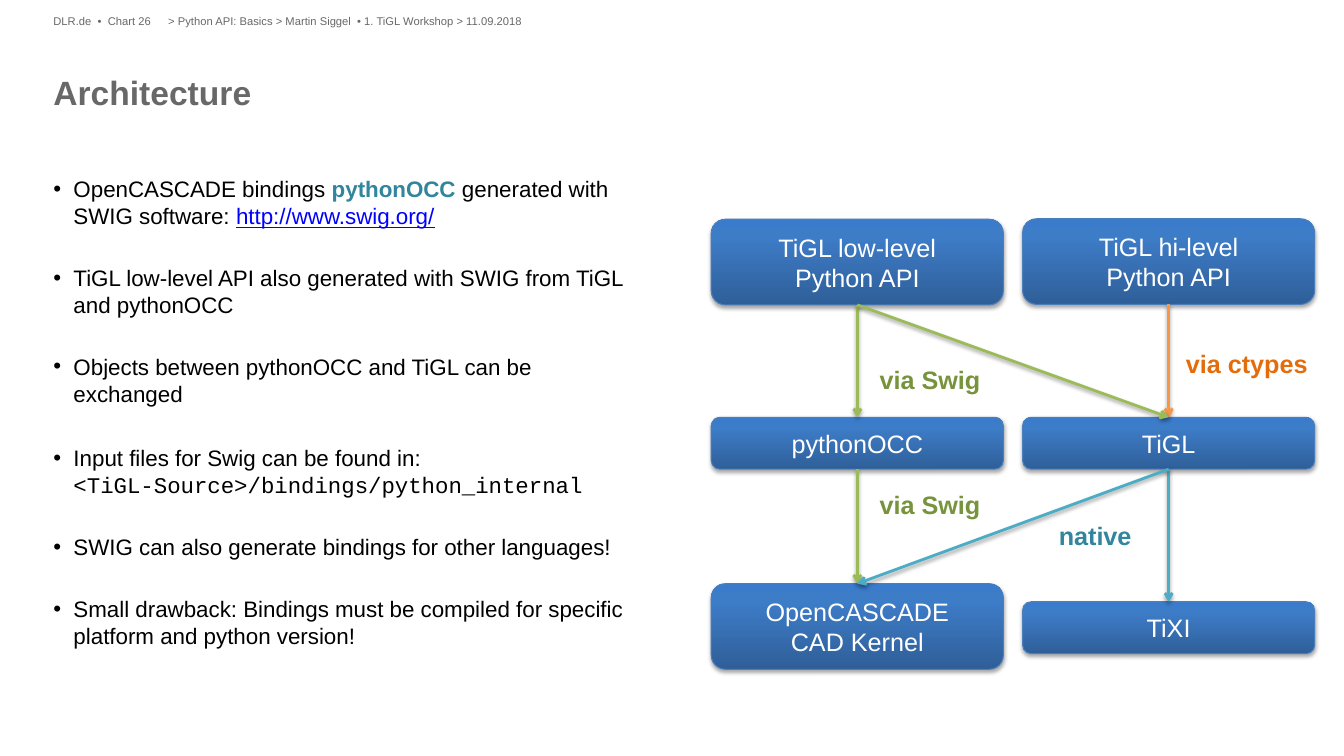
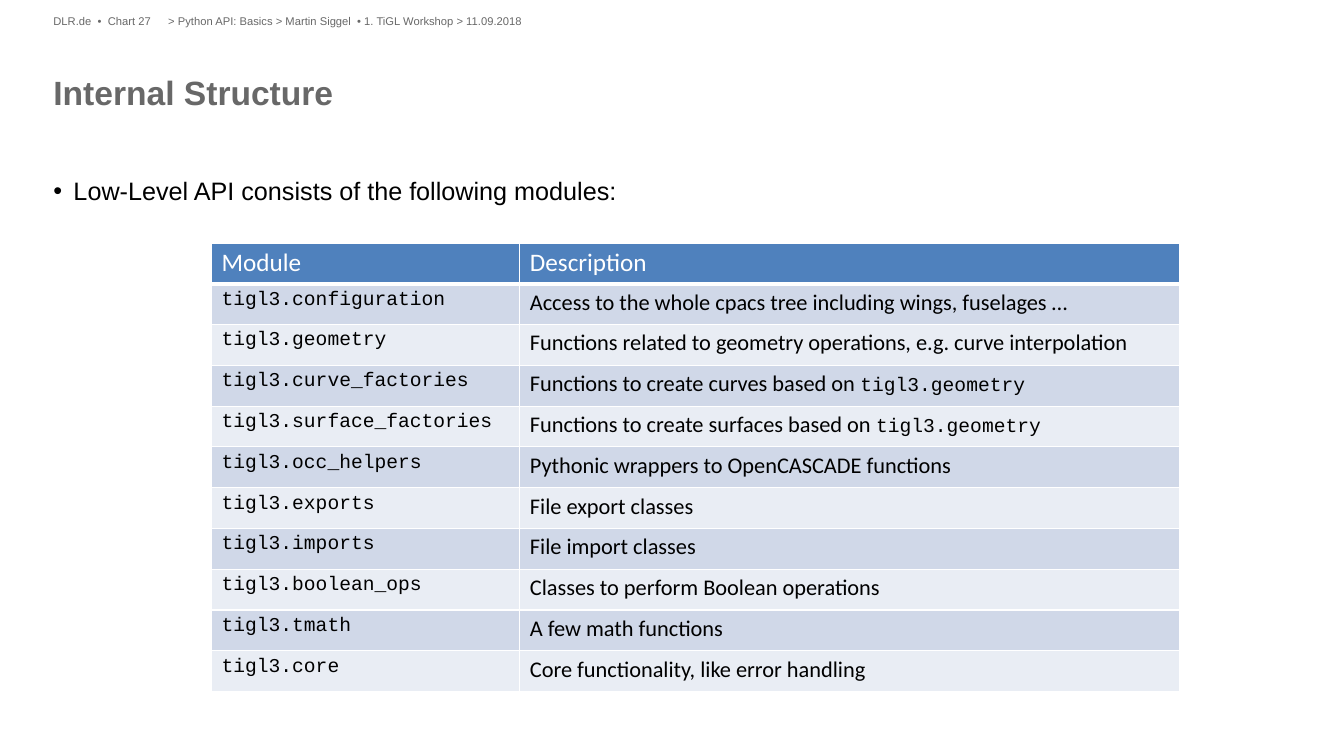
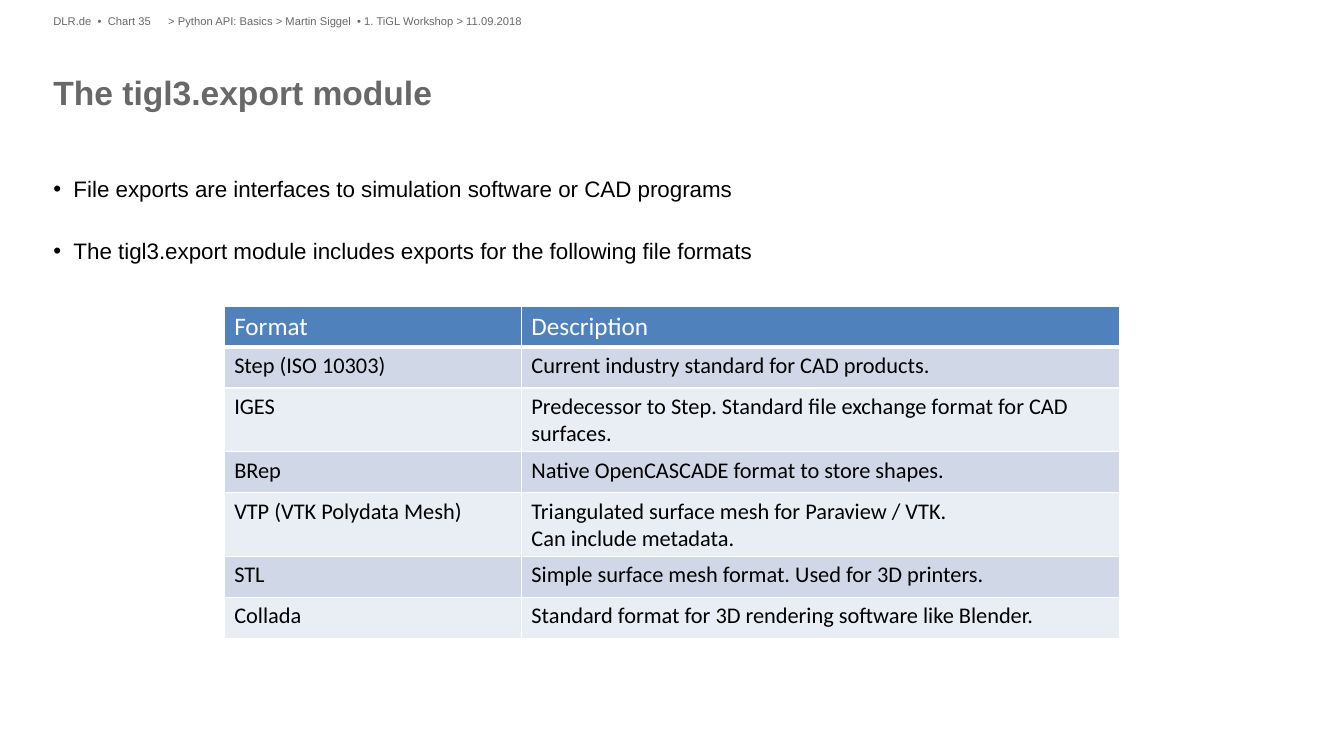
"""Build three workshop slides on the architecture and modules of a Python API."""
from copy import deepcopy

from pptx import Presentation
from pptx.dml.color import RGBColor
from pptx.enum.shapes import MSO_CONNECTOR, MSO_SHAPE
from pptx.enum.text import MSO_ANCHOR, PP_ALIGN
from pptx.oxml import parse_xml
from pptx.oxml.ns import nsdecls, qn
from pptx.util import Emu, Pt

PX = 4572
SLIDE_SIZE = (2668, 1500)
LEFT, WIDTH = 106, 2454
BODY_TOP, BODY_HEIGHT = 348, 948
HEADER_TOP, HEADER_HEIGHT = 28, 32
INDENT = 40
ROW_HEIGHT, TALL_ROW_HEIGHT = 81, 126

COLORS = {
    "grey": "686868", "black": "000000", "white": "FFFFFF", "link": "0000FF",
    "teal": "31859C", "green": "77933C", "orange": "E46C0A",
    "green line": "9BBB59", "teal line": "4BACC6", "orange line": "F79646",
    "box line": "4B7EBC", "box dark": "2F5F99", "box middle": "3D7CC7", "box light": "3A7CCB",
    "head": "4F81BD", "odd": "D0D8E8", "even": "E9EDF4",
}
BOX_GRADIENT = [(0, "box dark"), (0.8, "box middle"), (1, "box light")]

STYLES = {
    "title": ("Arial", 24, "grey", True),
    "header": ("Arial", 8, "grey", False),
    "body": ("Arial", 16, "black", False),
    "large": ("Arial", 18, "black", False),
    "strong": ("Arial", 16, "teal", True),
    "link": ("Arial", 16, "link", False),
    "path": ("Courier New", 16, "black", False),
    "box": ("Arial", 18, "white", False),
    "green": ("Arial", 18, "green", True),
    "orange": ("Arial", 18, "orange", True),
    "teal": ("Arial", 18, "teal", True),
    "head": ("Calibri", 18, "white", False),
    "cell": ("Calibri", 16, "black", False),
    "code": ("Courier New", 14, "black", False),
}

HEADER = "> Python API: Basics > Martin Siggel  • 1. TiGL Workshop > 11.09.2018"

ARCHITECTURE_BULLETS = [
    (0, [("OpenCASCADE bindings ", "body"), ("pythonOCC ", "strong"),
         ("generated with SWIG software: ", "body"), ("http://www.swig.org/", "link")]),
    (25, [("TiGL low-level API also generated with SWIG from TiGL and pythonOCC", "body")]),
    (25, [("Objects between pythonOCC and TiGL can be exchanged", "body")]),
    (27, [("Input files for Swig can be found in:\n", "body"),
          ("<TiGL-Source>/bindings/python_internal", "path")]),
    (25, [("SWIG can also generate bindings for other languages!", "body")]),
    (25, [("Small drawback: Bindings must be compiled for specific platform "
           "and python version!", "body")]),
]
MODULE_BULLETS = [(0, [("Low-Level API consists of the following modules:", "large")])]
EXPORT_BULLETS = [
    (0, [("File exports are interfaces to simulation software or CAD programs", "body")]),
    (25, [("The tigl3.export module includes exports for the following file formats", "body")]),
]

BOX_WIDTH = 580
BOX_COLUMNS = (1412, 2030)
BOXES = {
    "low": ("TiGL low-level\nPython API", 0, 435, 170),
    "high": ("TiGL hi-level\nPython API", 1, 434, 170),
    "occ": ("pythonOCC", 0, 828, 103),
    "tigl": ("TiGL", 1, 828, 103),
    "kernel": ("OpenCASCADE\nCAD Kernel", 0, 1158, 170),
    "tixi": ("TiXI", 1, 1194, 103),
}
ARROWS = [
    ("occ", "kernel", "green line"), ("tigl", "tixi", "teal line"),
    ("tigl", "kernel", "teal line"), ("high", "tigl", "orange line"),
    ("low", "occ", "green line"), ("low", "tigl", "green line"),
]
ARROW_LABELS = [
    ("via Swig", "green", 1746, 722, 202), ("via ctypes", "orange", 2354, 692, 244),
    ("via Swig", "green", 1746, 970, 202), ("native", "teal", 2102, 1032, 146),
]

GEOMETRY = ("tigl3.geometry", "code")
MODULES = [
    ("tigl3.configuration", [("Access to the whole cpacs tree including wings, fuselages …", "cell")]),
    ("tigl3.geometry",
     [("Functions related to geometry operations, e.g. curve interpolation", "cell")]),
    ("tigl3.curve_factories", [("Functions to create curves based on ", "cell"), GEOMETRY]),
    ("tigl3.surface_factories", [("Functions to create surfaces based on ", "cell"), GEOMETRY]),
    ("tigl3.occ_helpers", [("Pythonic wrappers to OpenCASCADE functions", "cell")]),
    ("tigl3.exports", [("File export classes", "cell")]),
    ("tigl3.imports", [("File import classes", "cell")]),
    ("tigl3.boolean_ops", [("Classes to perform Boolean operations", "cell")]),
    ("tigl3.tmath", [("A few math functions", "cell")]),
    ("tigl3.core", [("Core functionality, like error handling", "cell")]),
]
FORMATS = [
    ("Step (ISO 10303)", [("Current industry standard for CAD products.", "cell")]),
    ("IGES", [("Predecessor to Step. Standard file exchange format for CAD surfaces.", "cell")]),
    ("BRep", [("Native OpenCASCADE format to store shapes.", "cell")]),
    ("VTP (VTK Polydata Mesh)",
     [("Triangulated surface mesh for Paraview / VTK.\nCan include metadata.", "cell")]),
    ("STL", [("Simple surface mesh format. Used for 3D printers.", "cell")]),
    ("Collada", [("Standard format for 3D rendering software like Blender.", "cell")]),
]
TALL_FORMATS = ("IGES", "VTP (VTK Polydata Mesh)")


def px(*values):
    return [Emu(value * PX) for value in values]


def rgb(name):
    return RGBColor.from_string(COLORS[name])


def add_run(paragraph, text, style):
    font_name, size, color, bold = STYLES[style]
    run = paragraph.add_run()
    run.text = text
    run.font.name = font_name
    run.font.size = Pt(size)
    run.font.bold = bold
    run.font.color.rgb = rgb(color)
    if style == "link":
        run.font.underline = True
    return run


def add_runs(paragraph, runs):
    for text, style in runs:
        run = None
        for line in text.split("\n"):
            if run is not None:
                paragraph.add_line_break()
                line_break = paragraph._p.findall(qn("a:br"))[-1]
                line_break.append(deepcopy(run._r.rPr))
            if line:
                run = add_run(paragraph, line, style)


def clear_margins(frame, wrap=True):
    frame.margin_left = frame.margin_right = frame.margin_top = frame.margin_bottom = 0
    frame.vertical_anchor = MSO_ANCHOR.TOP
    frame.word_wrap = wrap


def add_text(slide, box, text, style):
    frame = slide.shapes.add_textbox(*px(*box)).text_frame
    clear_margins(frame, wrap=False)
    add_runs(frame.paragraphs[0], [(text, style)])


def add_bullets(slide, bullets, width=WIDTH):
    frame = slide.shapes.add_textbox(*px(LEFT, BODY_TOP, width, BODY_HEIGHT)).text_frame
    clear_margins(frame)
    for index, (space_before, runs) in enumerate(bullets):
        paragraph = frame.add_paragraph() if index else frame.paragraphs[0]
        properties = paragraph._p.get_or_add_pPr()
        properties.set("marL", str(INDENT * PX))
        properties.set("indent", str(-INDENT * PX))
        properties.append(parse_xml(f'<a:buFont {nsdecls("a")} typeface="Arial"/>'))
        properties.append(parse_xml(f'<a:buChar {nsdecls("a")} char="•"/>'))
        if space_before:
            paragraph.space_before = Pt(space_before)
        add_runs(paragraph, runs)


def add_titled_slide(presentation, title, number):
    slide = presentation.slides.add_slide(presentation.slide_layouts[5])
    placeholder = slide.shapes.title
    placeholder.left, placeholder.top, placeholder.width, placeholder.height = px(
        LEFT, 142, WIDTH, 162)
    clear_margins(placeholder.text_frame)
    paragraph = placeholder.text_frame.paragraphs[0]
    paragraph.alignment = PP_ALIGN.LEFT
    add_runs(paragraph, [(title, "title")])
    add_text(slide, (334, HEADER_TOP, 2226, HEADER_HEIGHT), HEADER, "header")
    add_text(slide, (LEFT, HEADER_TOP, 228, HEADER_HEIGHT),
             f"DLR.de  •  Chart {number}", "header")
    return slide


def add_shadow(shape, opacity, distance):
    shape._element.spPr.append(parse_xml(
        f'<a:effectLst {nsdecls("a")}><a:outerShdw blurRad="{Pt(3.1)}" dist="{Pt(distance)}" '
        f'dir="5400000" rotWithShape="0"><a:srgbClr val="{COLORS["black"]}">'
        f'<a:alpha val="{opacity * 1000}"/></a:srgbClr></a:outerShdw></a:effectLst>'))


def add_box(slide, text, column, top, height):
    shape = slide.shapes.add_shape(
        MSO_SHAPE.ROUNDED_RECTANGLE, *px(BOX_COLUMNS[column], top, BOX_WIDTH, height))
    shape.fill.gradient()
    stop_list = shape._element.spPr.find(".//" + qn("a:gsLst"))
    stop_list.append(deepcopy(stop_list[-1]))
    for stop, (position, color) in zip(shape.fill.gradient_stops, BOX_GRADIENT):
        stop.position = position
        stop.color.rgb = rgb(color)
    shape.fill.gradient_angle = 90
    shape.line.color.rgb = rgb("box line")
    shape.line.width = Pt(0.75)
    add_shadow(shape, 35, 1.8)
    frame = shape.text_frame
    frame.word_wrap = True
    frame.vertical_anchor = MSO_ANCHOR.MIDDLE
    paragraph = frame.paragraphs[0]
    paragraph.alignment = PP_ALIGN.CENTER
    add_runs(paragraph, [(text, "box")])
    return shape


def add_arrow(slide, source, target, color):
    arrow = slide.shapes.add_connector(MSO_CONNECTOR.STRAIGHT, 0, 0, 0, 0)
    arrow.begin_connect(source, 2)
    arrow.end_connect(target, 0)
    arrow.line.color.rgb = rgb(color)
    arrow.line.width = Pt(2)
    arrow.line._get_or_add_ln().append(
        parse_xml(f'<a:tailEnd {nsdecls("a")} type="arrow"/>'))
    add_shadow(arrow, 38, 1.6)


def format_cell(cell, runs, color, borders):
    properties = cell._tc.get_or_add_tcPr()
    for side, width in borders.items():
        properties.append(parse_xml(
            f'<a:ln{side} {nsdecls("a")} w="{Pt(width)}"><a:solidFill>'
            f'<a:srgbClr val="{COLORS["white"]}"/></a:solidFill></a:ln{side}>'))
    cell.fill.solid()
    cell.fill.fore_color.rgb = rgb(color)
    add_runs(cell.text_frame.paragraphs[0], runs)


def add_table(slide, left, top, widths, first_heading, entries, name_style, tall=()):
    heights = [ROW_HEIGHT] + [
        TALL_ROW_HEIGHT if name in tall else ROW_HEIGHT for name, _ in entries]
    rows = [[[(first_heading, "head")], [("Description", "head")]]]
    rows += [[[(name, name_style)], description] for name, description in entries]
    table = slide.shapes.add_table(
        len(rows), len(widths), *px(left, top, sum(widths), sum(heights))).table
    for column, width in zip(table.columns, px(*widths)):
        column.width = width
    for index, (row, height) in enumerate(zip(rows, px(*heights))):
        table.rows[index].height = height
        color = "head" if index == 0 else "odd" if index % 2 else "even"
        borders = {"L": 1, "R": 1, "T": 1, "B": 1 if index else 3}
        for cell, runs in zip(table.rows[index].cells, row):
            format_cell(cell, runs, color, borders)


def main():
    presentation = Presentation()
    presentation.slide_width, presentation.slide_height = px(*SLIDE_SIZE)

    slide = add_titled_slide(presentation, "Architecture", 26)
    add_bullets(slide, ARCHITECTURE_BULLETS, 1148)
    boxes = {name: add_box(slide, *box) for name, box in BOXES.items()}
    for source, target, color in ARROWS:
        add_arrow(slide, boxes[source], boxes[target], color)
    for text, style, left, top, width in ARROW_LABELS:
        add_text(slide, (left, top, width, 60), text, style)

    slide = add_titled_slide(presentation, "Internal Structure", 27)
    add_bullets(slide, MODULE_BULLETS)
    add_table(slide, 420, 482, (612, 1309), "Module", MODULES, "code")

    slide = add_titled_slide(presentation, "The tigl3.export module", 35)
    add_bullets(slide, EXPORT_BULLETS)
    add_table(slide, 445, 608, (590, 1188), "Format", FORMATS, "cell", TALL_FORMATS)

    presentation.save("out.pptx")


if __name__ == "__main__":
    main()
